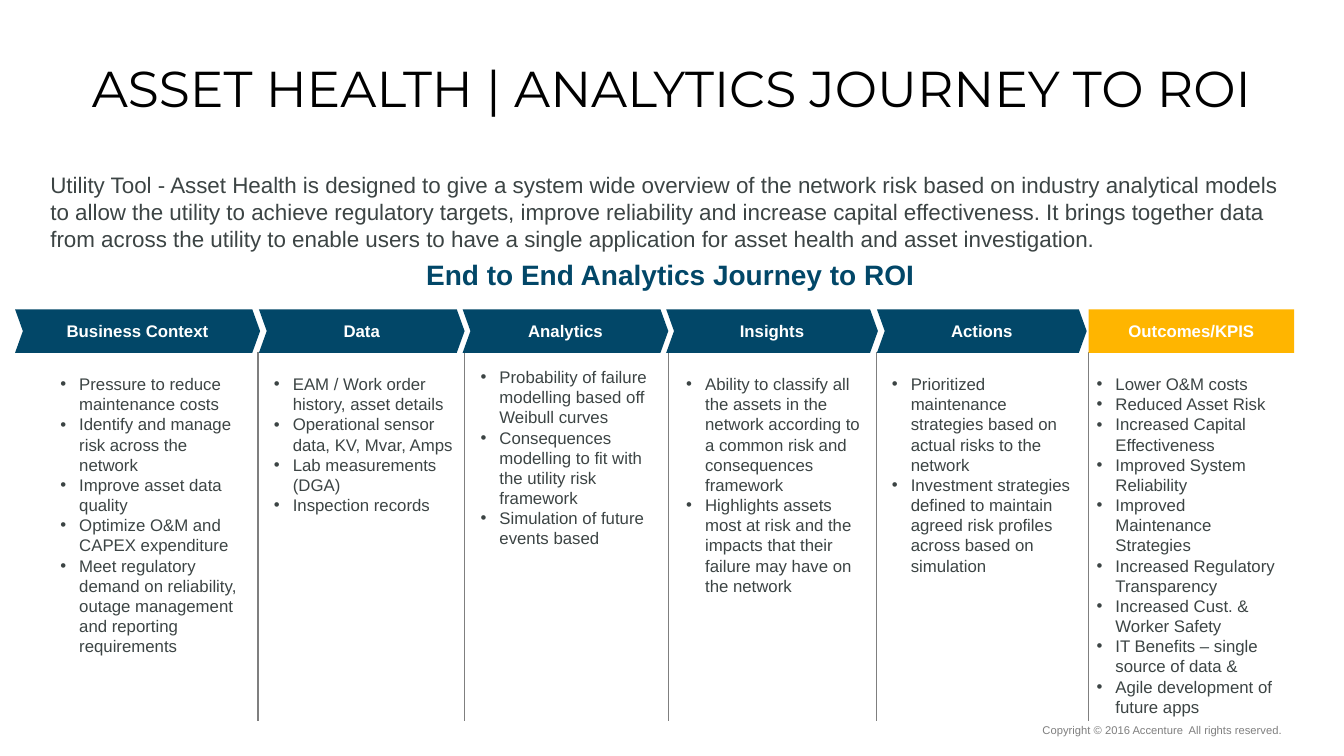
from lxml import etree
from pptx import Presentation
from pptx.dml.color import RGBColor
from pptx.enum.shapes import MSO_CONNECTOR, MSO_SHAPE
from pptx.enum.text import MSO_ANCHOR, PP_ALIGN
from pptx.oxml.ns import qn
from pptx.util import Pt

LEFT, CENTER, RIGHT = PP_ALIGN.LEFT, PP_ALIGN.CENTER, PP_ALIGN.RIGHT
TOP, MIDDLE = MSO_ANCHOR.TOP, MSO_ANCHOR.MIDDLE
CHEVRON, STRAIGHT = MSO_SHAPE.CHEVRON, MSO_CONNECTOR.STRAIGHT

COLORS = {
    "navy": "024768",
    "gold": "FFB500",
    "body": "3C4444",
    "grey": "7F7F7F",
    "black": "000000",
    "white": "FFFFFF",
}

STAGES = [
    ("Business Context", 10.8, 175, 36, 263.5, 147.6, 225.4, [
        "Pressure to reduce maintenance costs",
        "Identify and manage risk across the network",
        "Improve asset data quality",
        "Optimize O&M and CAPEX expenditure",
        "Meet regulatory demand on reliability, outage management "
        "and reporting requirements",
    ]),
    ("Data", 185, 146.9, 188.6, 263.5, 144.7, 138.2, [
        "EAM / Work order history, asset details",
        "Operational sensor data, KV, Mvar, Amps",
        "Lab measurements (DGA)",
        "Inspection records",
    ]),
    ("Analytics", 330.5, 146.9, 336.2, 258.5, 135.4, 138.2, [
        "Probability of failure modelling based off Weibull curves",
        "Consequences modelling to fit with the utility risk framework",
        "Simulation of future events based",
    ]),
    ("Insights", 475.9, 151.2, 483.1, 263.5, 144, 181.4, [
        "Ability to classify all the assets in the network according to "
        "a common risk and consequences framework",
        "Highlights assets most at risk and the impacts that their "
        "failure may have on the network",
    ]),
    ("Actions", 626.4, 149.8, 630, 263.5, 144, 152.6, [
        "Prioritized maintenance strategies based on actual risks "
        "to the network",
        "Investment strategies defined to maintain agreed risk profiles "
        "across based on simulation",
    ]),
    ("Outcomes/KPIS", 777.6, 146.9, 776.2, 263.5, 141.8, 254.2, [
        "Lower O&M costs",
        "Reduced Asset Risk",
        "Increased Capital Effectiveness",
        "Improved System Reliability",
        "Improved Maintenance Strategies",
        "Increased Regulatory Transparency",
        "Increased Cust. & Worker Safety",
        "IT Benefits – single source of data &",
        "Agile development of future apps",
    ]),
]
RULES = [184.3, 331.9, 477.4, 626.4, 777.6]
INTRO = (
    "Utility Tool - Asset Health is designed to give a system wide overview "
    "of the network risk based on industry analytical models to allow the "
    "utility to achieve regulatory targets, improve reliability and increase "
    "capital effectiveness. It brings together data from across the utility "
    "to enable users to have a single application for asset health and "
    "asset investigation."
)


def write(frame, *lines, size=12, color="body", font="Arial", bold=False,
          align=LEFT, anchor=TOP, inset=(7.2, 3.6, 7.2, 3.6), wrap=True,
          space=None, bullet=False):
    frame.word_wrap = wrap
    frame.vertical_anchor = anchor
    (frame.margin_left, frame.margin_top,
     frame.margin_right, frame.margin_bottom) = map(Pt, inset)
    for i, line in enumerate(lines):
        para = frame.add_paragraph() if i else frame.paragraphs[0]
        para.alignment = align
        if space:
            para.line_spacing = space
        if bullet:
            props = para._p.get_or_add_pPr()
            props.set("marL", str(Pt(13.5)))
            props.set("indent", str(-Pt(13.5)))
            etree.SubElement(props, qn("a:buFont")).set("typeface", "Arial")
            etree.SubElement(props, qn("a:buChar")).set("char", "•")
        run = para.add_run()
        run.text = line
        run.font.name = font
        run.font.size = Pt(size)
        run.font.bold = bold
        run.font.color.rgb = RGBColor.from_string(COLORS[color])


class Page:
    def __init__(self, deck):
        self.shapes = deck.slides.add_slide(deck.slide_layouts[6]).shapes

    def text(self, x, y, w, h, *lines, **style):
        box = self.shapes.add_textbox(Pt(x), Pt(y), Pt(w), Pt(h))
        write(box.text_frame, *lines, **style)

    def arrow(self, x, w, label, fill, notch):
        shape = self.shapes.add_shape(CHEVRON, Pt(x), Pt(221), Pt(w), Pt(31))
        shape.adjustments[0] = notch
        shape.shadow.inherit = False
        shape.fill.solid()
        shape.fill.fore_color.rgb = RGBColor.from_string(COLORS[fill])
        shape.line.fill.background()
        write(shape.text_frame, label, color="white", bold=True,
              align=CENTER, anchor=MIDDLE, inset=(7.2,) * 4)

    def rule(self, x):
        line = self.shapes.add_connector(
            STRAIGHT, Pt(x), Pt(251.3), Pt(x), Pt(514.8))
        line.line.color.rgb = RGBColor.from_string(COLORS["grey"])
        line.line.width = Pt(0.75)
        etree.SubElement(line._element.spPr, qn("a:effectLst"))


def main():
    deck = Presentation()
    deck.slide_width, deck.slide_height = Pt(960), Pt(540)
    page = Page(deck)
    page.text(589.7, 514.8, 326.2, 13,
              "Copyright © 2016 Accenture  All rights reserved.",
              size=8, color="grey", align=RIGHT, anchor=MIDDLE,
              inset=(0, 5, 0, 5))
    page.text(28.1, 43.9, 902.9, 42.5,
              "ASSET HEALTH | ANALYTICS JOURNEY TO ROI", size=36,
              color="black", font="Montserrat", align=CENTER, space=0.8,
              inset=(0, 5, 0, 0))
    page.text(36, 122.4, 884.2, 58.3, INTRO, size=16, inset=(0,) * 4)
    page.text(295.9, 180.7, 365.8, 31.7,
              "End to End Analytics Journey to ROI", size=20, color="navy",
              bold=True, align=CENTER, wrap=False)
    for x in RULES:
        page.rule(x)
    for label, x, w, left, top, width, height, points in STAGES:
        last = label == "Outcomes/KPIS"
        page.arrow(x, w, label, "gold" if last else "navy",
                   0 if last else 0.18)
        page.text(left, top, width, height, *points, bullet=True)
    deck.save("out.pptx")


if __name__ == "__main__":
    main()
